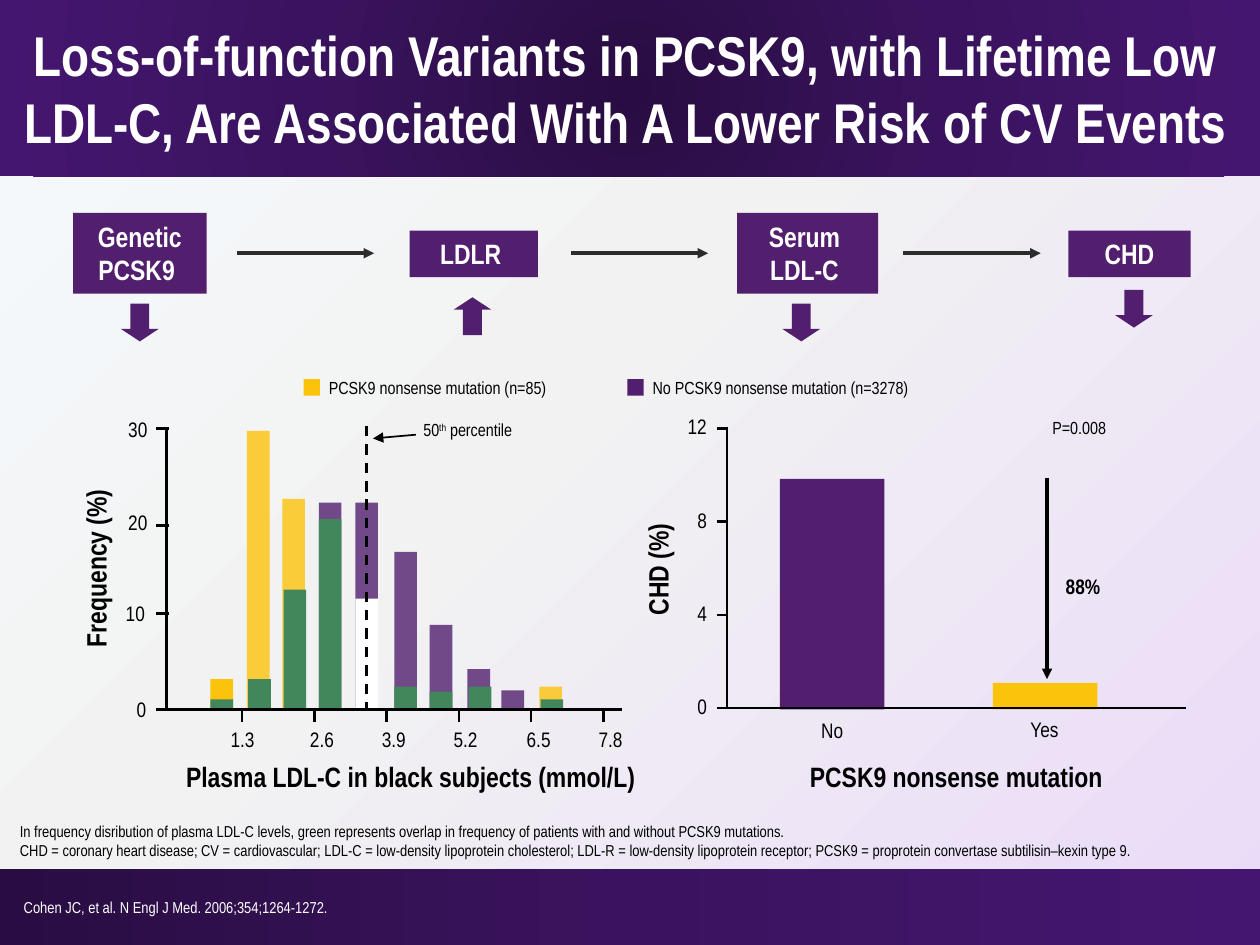
from lxml import etree
from pptx import Presentation, util as u
from pptx.dml.color import RGBColor
from pptx.enum import dml, shapes, text
from pptx.oxml import ns

WHITE = RGBColor(255, 255, 255)
BLACK = RGBColor(0, 0, 0)
DARK = RGBColor(0x2C, 0x2C, 0x2C)
PURPLE = RGBColor(0x52, 0x1F, 0x6E)
GOLD = RGBColor(0xFC, 0xC3, 0x0C)
GREEN = RGBColor(0x42, 0x86, 0x5C)
BAND = [(0, "290D42"), (50, "3A135E"), (100, "451670")]
PAGE = [(0, "F5FAFD"), (43, "F2F2F2"), (100, "EADBF9")]

KIND = shapes.MSO_SHAPE
LEFT, MID, RIGHT = text.PP_ALIGN.LEFT, text.PP_ALIGN.CENTER, text.PP_ALIGN.RIGHT


def cm(inch):
    return u.Cm(inch * 2.54)


def sub(node, tag, **attrs):
    return etree.SubElement(node, ns.qn(tag), **attrs)


class Deck:
    font = "Arial Narrow"
    pad = 0.05

    def __init__(self, wide, high):
        self.prs = Presentation()
        self.prs.slide_width, self.prs.slide_height = cm(wide), cm(high)
        self.slide = self.prs.slides.add_slide(self.prs.slide_layouts[6])

    def blend(self, fill, root, stops, angle=None):
        """Gradient with any stops; a circle when no angle is given."""
        fill.gradient()
        grad = root.xpath(".//a:gradFill")[0]
        for child in list(grad):
            grad.remove(child)
        row = sub(grad, "a:gsLst")
        for pos, tone in stops:
            sub(sub(row, "a:gs", pos=str(pos * 1000)), "a:srgbClr", val=tone)
        if angle is None:
            ring = sub(grad, "a:path")
            ring.set("path", "circle")
            sub(ring, "a:fillToRect", l="50000", t="50000", r="50000", b="50000")
        else:
            sub(grad, "a:lin", ang=str(angle * 60000), scaled="0")

    def page(self, stops, angle):
        self.blend(self.slide.background.fill, self.slide._element, stops, angle)

    def shape(self, x, y, w, h, color=None, kind=KIND.RECTANGLE, alpha=100):
        item = self.slide.shapes.add_shape(kind, cm(x), cm(y), cm(w), cm(h))
        item.shadow.inherit = False
        item.line.fill.background()
        if color is not None:
            item.fill.solid()
            item.fill.fore_color.rgb = color
            if alpha < 100:
                tone = item._element.spPr.xpath("./a:solidFill/a:srgbClr")[0]
                sub(tone, "a:alpha", val=str(alpha * 1000))
        return item

    def band(self, y, h, angle=None):
        item = self.shape(-0.02, y, 10.02, h)
        self.blend(item.fill, item._element, BAND, angle)

    def arrow(self, x, y, kind=KIND.DOWN_ARROW):
        item = self.shape(x, y, 0.3, 0.3, PURPLE, kind)
        item.adjustments[0], item.adjustments[1] = 0.5, 0.33

    def say(self, item, paras, size, color=BLACK, bold=False, align=LEFT,
            wrap=True, pad=pad, space=None, indent=0, grow=True,
            anchor=text.MSO_ANCHOR.TOP):
        """Each paragraph is a string or a list of (string, raised) runs."""
        frame = item.text_frame
        frame.word_wrap = wrap
        frame.vertical_anchor = anchor
        frame.auto_size = (text.MSO_AUTO_SIZE.SHAPE_TO_FIT_TEXT if grow
                           else text.MSO_AUTO_SIZE.NONE)
        if pad is not None:
            frame.margin_left = frame.margin_right = cm(pad)
            frame.margin_top = frame.margin_bottom = cm(pad)
        for i, runs in enumerate(paras):
            para = frame.add_paragraph() if i else frame.paragraphs[0]
            para.alignment = align
            if space:
                para.line_spacing = space
            if indent:
                para._p.get_or_add_pPr().set("marL", str(cm(indent)))
            for words, raised in [(runs, False)] if isinstance(runs, str) else runs:
                run = para.add_run()
                run.text = words
                font = run.font
                font.name, font.size, font.bold = self.font, u.Pt(size), bold
                font.color.rgb = color
                if raised:
                    font._element.set("baseline", "30000")

    def label(self, x, y, w, h, paras, size, turn=0, **style):
        item = self.slide.shapes.add_textbox(cm(x), cm(y), cm(w), cm(h))
        item.rotation = turn
        self.say(item, paras, size, **style)

    def title(self, x, y, w, words, turn=0):
        self.label(x, y, w, 0.36, [words], 16, turn, bold=True, align=MID, space=0.95)

    def mark(self, x, y, w, words, size=12, **style):
        self.label(x, y, w, 0.29, [words], size, space=0.95, **style)

    def line(self, x1, y1, x2, y2, width=1.5, color=BLACK, head=False, dash=False):
        item = self.slide.shapes.add_connector(
            shapes.MSO_CONNECTOR.STRAIGHT, cm(x1), cm(y1), cm(x2), cm(y2))
        item.line.width = u.Pt(width)
        item.line.color.rgb = color
        if dash:
            item.line.dash_style = dml.MSO_LINE.DASH
        if head:
            sub(item.line._get_or_add_ln(), "a:tailEnd", type="triangle")
        sub(item._element.spPr, "a:effectLst")


def main():
    deck = Deck(10, 7.5)

    # Background, bands and heading
    deck.page(PAGE, 45)
    deck.band(6.9, 0.6, 0)
    deck.band(0, 1.4)
    deck.label(0.03, 0.11, 9.88, 1.18,
               ["Loss-of-function Variants in PCSK9, with Lifetime Low LDL-C, "
                "Are Associated With A Lower Risk of CV Events"],
               32, color=WHITE, bold=True, align=MID, pad=None)
    deck.label(0.09, 7.08, 8.1, 0.4,
               ["Cohen JC, et al. N Engl J Med. 2006;354;1264-1272."],
               9, color=WHITE, pad=None)

    # Chain of causes
    for x, y, w, h, words, ax, ay, kind in [
            (0.58, 1.69, 1.06, 0.64, ["Genetic PCSK9 "], 0.96, 2.41, KIND.DOWN_ARROW),
            (3.25, 1.83, 1.02, 0.37, ["LDLR "], 3.6, 2.36, KIND.UP_ARROW),
            (5.85, 1.69, 1.12, 0.64, ["Serum ", "LDL-C "], 6.21, 2.41, KIND.DOWN_ARROW),
            (8.48, 1.83, 0.97, 0.37, ["CHD"], 8.85, 2.3, KIND.DOWN_ARROW)]:
        box = deck.shape(x, y, w, h, PURPLE)
        deck.say(box, words, 16, WHITE, bold=True, align=MID)
        deck.arrow(ax, ay, kind)
    for x in (1.88, 4.53, 7.17):
        deck.line(x, 2.01, x + 1.09, 2.01, 2, DARK, head=True)

    # Legend
    for x, w, color, words in [
            (2.41, 1.84, GOLD, "PCSK9 nonsense mutation (n=85)"),
            (4.98, 2.14, PURPLE, "No PCSK9 nonsense mutation (n=3278)")]:
        deck.shape(x, 3.01, 0.13, 0.13, color)
        deck.label(x + 0.15, 2.94, w, 0.27, [words], 10, wrap=False)

    # Histogram bars: left edge and height
    base = 5.63
    for color, alpha, bars in [
            (GOLD, 100, [(1.67, 0.24)]),
            (GOLD, 80, [(1.96, 2.21), (2.24, 1.67), (4.28, 0.18)]),
            (PURPLE, 80, [(2.53, 1.64), (2.82, 1.64), (3.13, 1.25),
                          (3.41, 0.67), (3.71, 0.32), (3.98, 0.15)]),
            (GREEN, 100, [(1.67, 0.08), (1.97, 0.24), (2.25, 0.95), (2.53, 1.51),
                          (3.13, 0.18), (3.41, 0.14), (3.72, 0.18), (4.29, 0.08)]),
            (WHITE, 100, [(2.82, 0.88)])]:
        for x, h in bars:
            deck.shape(x, base - h, 0.18, h, color, alpha=alpha)

    # Histogram axes
    deck.line(1.32, base, 1.32, 3.4)
    deck.line(1.24, base, 4.94, base)
    for y, x, top, w, words in [(3.4, 0.96, 3.27, 0.26, "30"), (4.17, 0.96, 4.01, 0.26, "20"),
                                (4.87, 0.94, 4.73, 0.26, "10"), (base, 1.03, 5.49, 0.18, "0")]:
        deck.line(1.24, y, 1.34, y)
        deck.mark(x, top, w, words, align=RIGHT, wrap=False)
    for i, (x, words) in enumerate([(1.78, "1.3"), (2.41, "2.6"), (2.98, "3.9"),
                                    (3.55, "5.2"), (4.13, "6.5"), (4.7, "7.8")]):
        tick = 1.92 + 2.87 * i / 5
        deck.line(tick, base, tick, base + 0.1)
        deck.mark(x, 5.73, 0.29, words, align=MID, wrap=False)
    deck.title(-0.33, 4.33, 2.21, "Frequency (%)", 270)
    deck.title(1.25, 6, 4.02, "Plasma LDL-C in black subjects (mmol/L)")

    # Median line
    deck.line(2.91, 3.38, 2.91, base, dash=True)
    deck.line(3.3, 3.45, 2.96, 3.48, 1, head=True)
    deck.label(3.31, 3.28, 0.82, 0.27,
               [[("50", False), ("th", True), (" percentile", False)]], 10, wrap=False)

    # Heart disease chart
    deck.shape(6.19, 3.8, 0.83, 1.83, PURPLE)
    deck.shape(7.88, 5.42, 0.83, 0.21, GOLD)
    deck.line(5.77, 5.62, 5.77, 3.4)
    deck.line(5.69, 5.62, 9.41, 5.62)
    for i, (w, words) in enumerate([(0.26, "12"), (0.18, "8"), (0.18, "4"), (0.18, "0")]):
        y = 3.4 + 0.74 * i
        deck.line(5.69, y, 5.78, y)
        deck.mark(5.66 - w, y - 0.15, w, words, align=RIGHT, wrap=False)
    deck.mark(6.19, 5.66, 0.83, "No", align=MID)
    deck.mark(7.84, 5.65, 0.9, "Yes", align=MID)
    deck.title(4.1, 4.34, 2.27, "CHD (%)", 270)
    deck.title(5.77, 6, 3.64, "PCSK9 nonsense mutation")

    # Risk drop
    deck.line(8.31, 3.79, 8.31, 5.39, 2, head=True)
    deck.mark(8.18, 4.52, 0.83, "88%", bold=True, align=MID)
    deck.mark(8.15, 3.27, 0.83, "P=0.008", 10, align=MID)

    # Footnotes
    deck.label(-0.04, 6.17, 9.57, 0.7, [
        "In frequency disribution of plasma LDL-C levels, green represents overlap in "
        "frequency of patients with and without PCSK9 mutations.",
        "CHD = coronary heart disease; CV = cardiovascular; LDL-C = low-density lipoprotein "
        "cholesterol; LDL-R = low-density lipoprotein receptor; PCSK9 = proprotein convertase "
        "subtilisin–kexin type 9."],
        9, pad=None, indent=0.1, grow=False, anchor=text.MSO_ANCHOR.BOTTOM)

    deck.prs.save("out.pptx")


if __name__ == "__main__":
    main()
